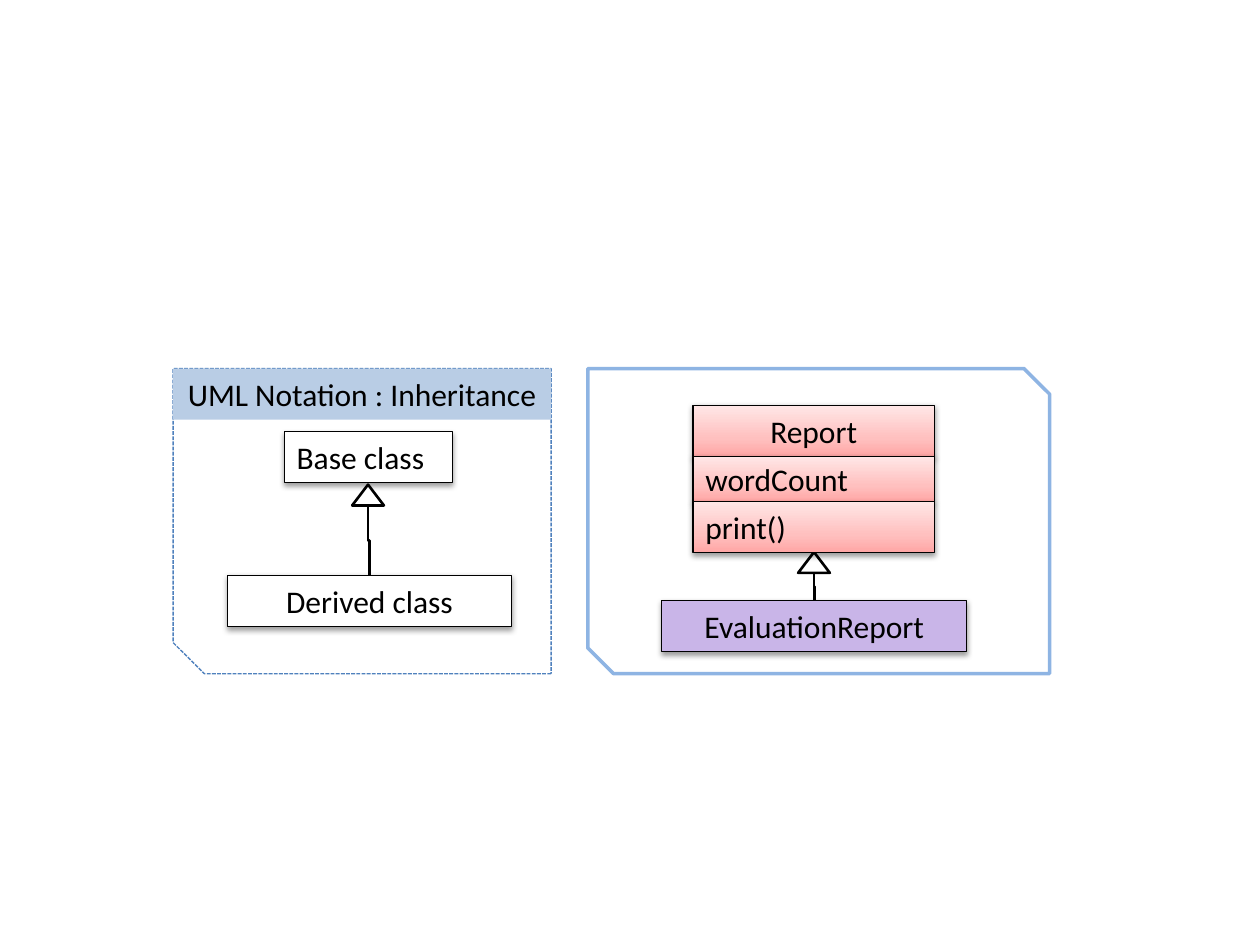
"""Build a slide that shows UML inheritance beside a worked example."""
from copy import deepcopy

from lxml import etree
from pptx import Presentation
from pptx import util as u
from pptx.dml.color import RGBColor
from pptx.enum import dml, shapes, text
from pptx.oxml.ns import qn

HUES = {
    "white": "FFFFFF", "black": "000000", "frame": "8EB4E3", "dash": "4F81BD",
    "head": "B9CDE5", "violet": "C9B5E8",
}
ROSE = [(0, "FFA6A5"), (0.35, "FFC0BF"), (1, "FFE7E7")]
KIND = shapes.MSO_SHAPE
LEFT, MID = text.PP_ALIGN.LEFT, text.PP_ALIGN.CENTER
ROW = 1.03


def hue(name):
    return RGBColor.from_string(HUES[name])


def add_form(slide, kind, spot, fill="white", line="black", width=0.75):
    form = slide.shapes.add_shape(kind, *(u.Cm(n) for n in spot))
    form.shadow.inherit = False
    form.fill.solid()
    form.fill.fore_color.rgb = hue(fill)
    if line:
        form.line.color.rgb = hue(line)
        form.line.width = u.Pt(width)
    else:
        form.line.fill.background()
    return form


def add_panel(slide, kind, spot, cuts, line, width):
    panel = add_form(slide, kind, spot, line=line, width=width)
    for i, cut in enumerate(cuts):
        panel.adjustments[i] = cut
    return panel


def add_label(slide, words, spot, fill="white", line="black", align=MID):
    box = add_form(slide, KIND.RECTANGLE, spot, fill, line)
    frame = box.text_frame
    frame.word_wrap = True
    frame.vertical_anchor = text.MSO_ANCHOR.MIDDLE
    frame.text = words
    para = frame.paragraphs[0]
    para.alignment = align
    font = para.runs[0].font
    font.name, font.size = "Calibri", u.Pt(18)
    font.color.rgb = hue("black")
    return box


def add_shade(box):
    effect = box._element.spPr.find(qn("a:effectLst"))
    shade = etree.SubElement(effect, qn("a:outerShdw"), blurRad="40000",
                             dist="20000", dir="5400000", rotWithShape="0")
    tint = etree.SubElement(shade, qn("a:srgbClr"), val=HUES["black"])
    etree.SubElement(tint, qn("a:alpha"), val="38000")


def add_class(slide, words, spot, fill="white", align=MID):
    box = add_label(slide, words, spot, fill, align=align)
    add_shade(box)
    return box


def blend(box):
    box.fill.gradient()
    box.fill.gradient_angle = 90
    first = box.fill._xPr.find(".//" + qn("a:gs"))
    first.addnext(deepcopy(first))
    for stop, (place, tone) in zip(box.fill.gradient_stops, ROSE):
        stop.position = place
        stop.color.rgb = RGBColor.from_string(tone)


def add_link(slide, tip, child):
    x, y = tip.left + tip.width // 2, tip.top + tip.height
    end = child.left + child.width // 2
    span, shift = child.top - y, end - x
    link = slide.shapes.add_connector(shapes.MSO_CONNECTOR.ELBOW, x, y, end, child.top)
    link.begin_connect(tip, 3)
    link.end_connect(child, 0)
    link.left = (x + end - span) // 2
    link.top = y + (span - shift) // 2
    link.width, link.height = span, shift
    form = link._element.spPr
    turn = form.find(qn("a:xfrm"))
    turn.attrib.pop("flipV", None)
    turn.set("rot", "16200000")
    turn.set("flipH", "1")
    link.line.color.rgb = hue("black")
    link.line.width = u.Pt(1.5)
    etree.SubElement(form, qn("a:effectLst"))


def add_tip(slide, x, y):
    return add_form(slide, KIND.ISOSCELES_TRIANGLE, (x, y, 0.64, 0.42), width=1.5)


def add_key(slide):
    x, y, wide = 3.49, 7.43, 7.62
    panel = add_panel(slide, KIND.SNIP_1_RECTANGLE, (x, y, wide, 6.15),
                      [0.102], "dash", 0.75)
    panel.rotation = 180
    panel.line.dash_style = dml.MSO_LINE.SQUARE_DOT
    add_label(slide, "UML Notation : Inheritance", (x, y, wide, ROW), "head", None)
    add_class(slide, "Base class", (5.73, 8.7, 3.39, ROW), align=LEFT)
    tip = add_tip(slide, 7.1, 9.77)
    child = add_class(slide, "Derived class", (4.59, 11.6, 5.72, ROW))
    add_link(slide, tip, child)


def add_case(slide):
    add_panel(slide, KIND.SNIP_2_DIAG_RECTANGLE, (11.85, 7.43, 9.31, 6.15),
              [0, 0.084], "frame", 2)
    tip = add_tip(slide, 16.09, 11.13)
    child = add_class(slide, "EvaluationReport", (13.34, 12.1, 6.15, ROW), "violet")
    add_link(slide, tip, child)
    y = 8.17
    rows = [("Report", ROW, MID), ("wordCount", 0.91, LEFT), ("print()", ROW, LEFT)]
    for words, high, align in rows:
        blend(add_class(slide, words, (13.97, y, 4.87, high), align=align))
        y += high


def main():
    deck = Presentation()
    deck.slide_width, deck.slide_height = u.Cm(25.4), u.Cm(19.05)
    slide = deck.slides.add_slide(deck.slide_layouts[6])
    add_key(slide)
    add_case(slide)
    deck.save("out.pptx")


if __name__ == "__main__":
    main()
